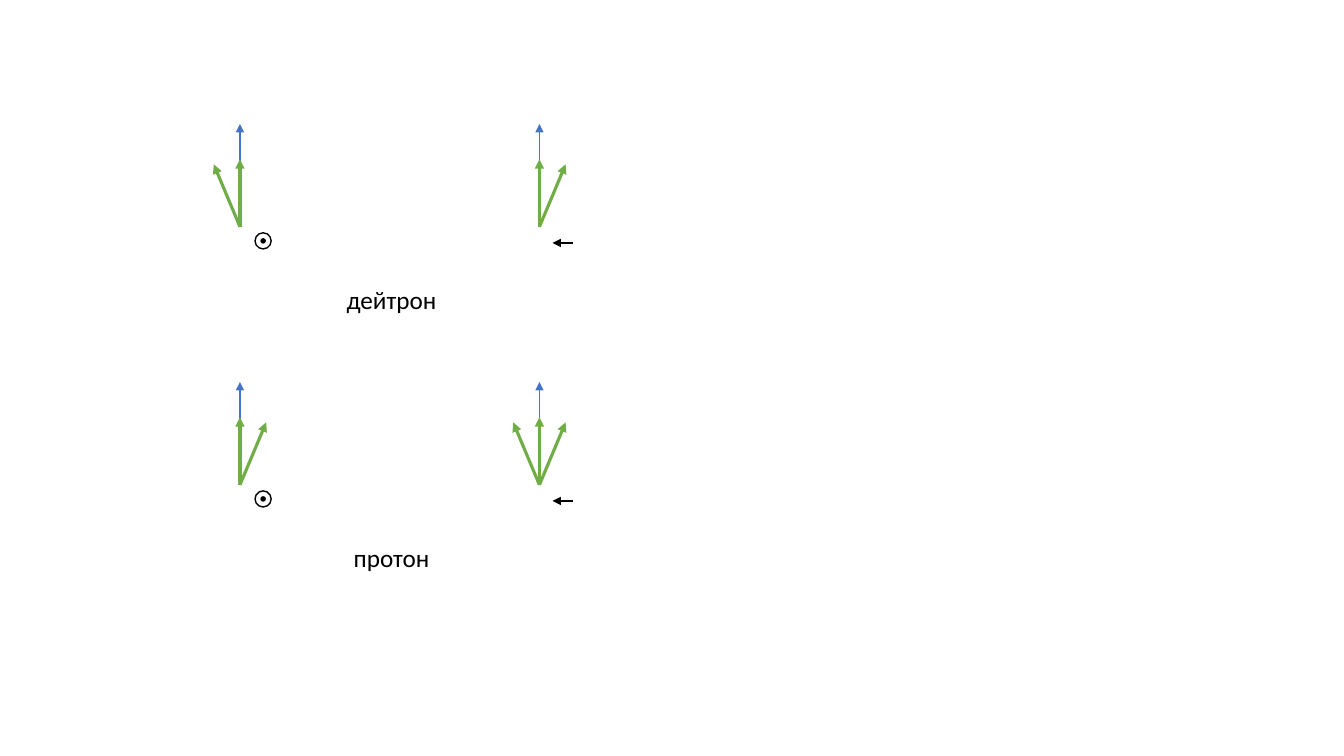
from lxml import etree
from pptx import Presentation
from pptx.dml.color import RGBColor
from pptx.enum.shapes import MSO_CONNECTOR, MSO_SHAPE
from pptx.enum.text import MSO_AUTO_SIZE
from pptx.oxml.ns import qn
from pptx.util import Pt

PX = 9144
STRAIGHT = MSO_CONNECTOR.STRAIGHT
OVAL = MSO_SHAPE.OVAL
FIT = MSO_AUTO_SIZE.SHAPE_TO_FIT_TEXT
COLORS = {"blue": "4472C4", "green": "70AD47", "black": "000000", "white": "FFFFFF"}
LABEL_FONT = {"name": "Calibri", "size": Pt(18)}
LEFT_X, RIGHT_X, LABEL_X = 238, 535, 389
TILT = 26
ROWS = [
    ("дейтрон", 225, 110, [-TILT], [TILT]),
    ("протон", 481, 96, [TILT], [TILT, -TILT]),
]


def rgb(name):
    return RGBColor.from_string(COLORS[name])


def add_arrow(s, x, y, dx, dy, color, width):
    sp = s.shapes.add_connector(STRAIGHT, x * PX, y * PX, (x + dx) * PX, (y + dy) * PX)
    sp.line.color.rgb = rgb(color)
    sp.line.width = Pt(width)
    etree.SubElement(sp.line._get_or_add_ln(), qn("a:tailEnd"), type="triangle")
    etree.SubElement(sp._element.spPr, qn("a:effectLst"))


def add_circle(s, x, y, radius, fill):
    size = 2 * radius * PX
    sp = s.shapes.add_shape(OVAL, (x - radius) * PX, (y - radius) * PX, size, size)
    sp.shadow.inherit = False
    sp.fill.solid()
    sp.fill.fore_color.rgb = rgb(fill)
    sp.line.color.rgb = rgb("black")
    sp.line.width = Pt(1)


def add_spins(s, x, y, tilts):
    add_arrow(s, x, y, 0, -102, "blue", 1)
    add_arrow(s, x, y, 0, -67, "green", 2.25)
    for dx in tilts:
        add_arrow(s, x, y, dx, -62, "green", 2.25)


def add_field_out(s, x, y):
    add_circle(s, x, y, 8, "white")
    add_circle(s, x, y, 2, "black")


def add_label(s, text, y, width):
    sp = s.shapes.add_textbox((LABEL_X - width // 2) * PX, y * PX, width * PX, 40 * PX)
    tf = sp.text_frame
    tf.word_wrap = False
    tf.auto_size = FIT
    r = tf.paragraphs[0].add_run()
    r.text = text
    for key, value in LABEL_FONT.items():
        setattr(r.font, key, value)
    r.font.color.rgb = rgb("black")


def main():
    prs = Presentation()
    prs.slide_width, prs.slide_height = 1333 * PX, 750 * PX
    s = prs.slides.add_slide(prs.slide_layouts[6])
    for particle, y, label_width, left_tilts, right_tilts in ROWS:
        add_spins(s, LEFT_X, y, left_tilts)
        add_field_out(s, LEFT_X + 23, y + 14)
        add_spins(s, RIGHT_X, y, right_tilts)
        add_arrow(s, RIGHT_X + 33, y + 16, -20, 0, "black", 1.5)
        add_label(s, particle, y + 52, label_width)
    prs.save("out.pptx")


if __name__ == "__main__":
    main()
